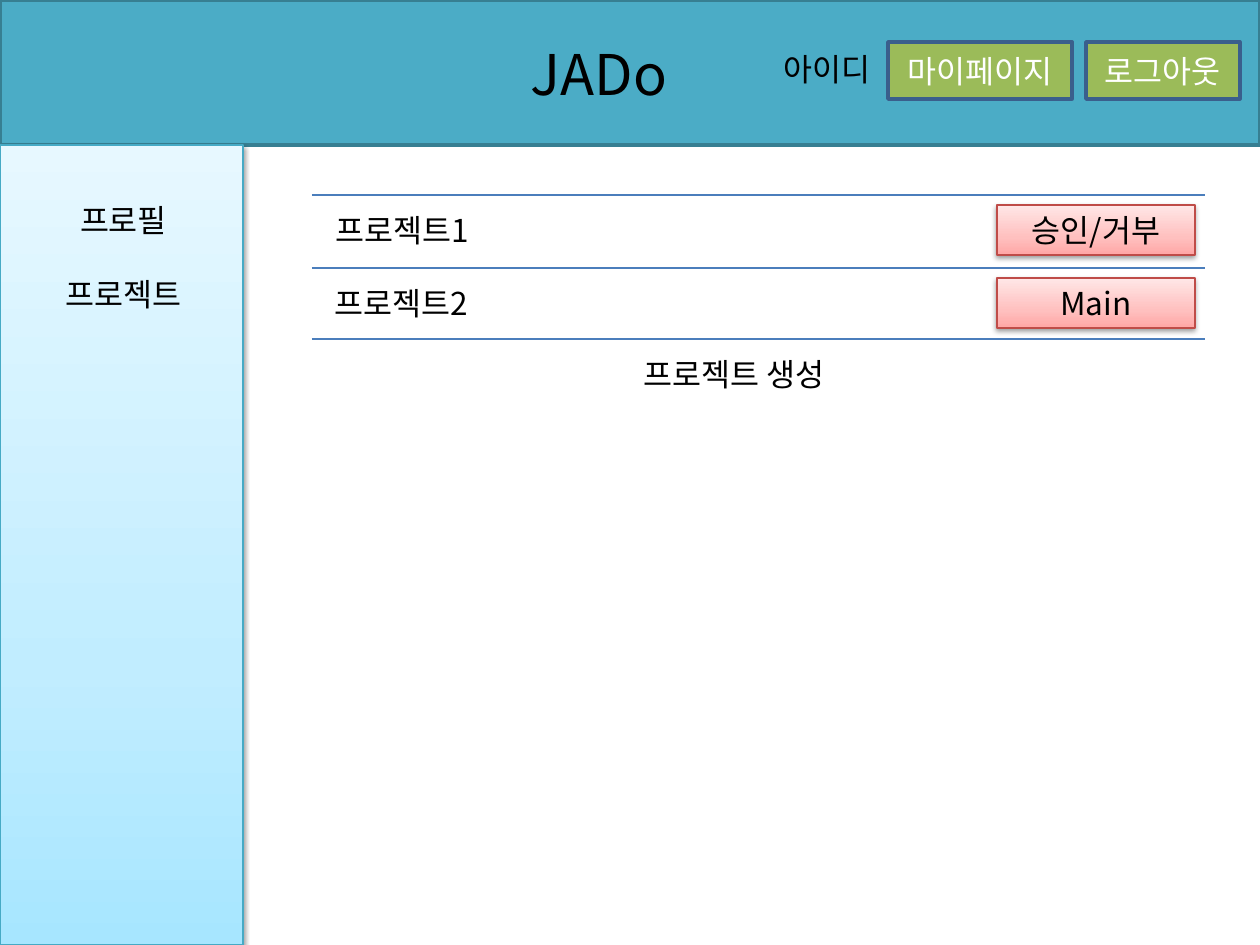
from copy import deepcopy
from dataclasses import dataclass

from lxml import etree
from pptx import Presentation
from pptx.dml.color import RGBColor
from pptx.enum.shapes import MSO_CONNECTOR, MSO_SHAPE
from pptx.enum.text import MSO_ANCHOR, MSO_AUTO_SIZE, PP_ALIGN
from pptx.oxml.ns import qn
from pptx.util import Emu, Pt

RECT = MSO_SHAPE.RECTANGLE
STRAIGHT = MSO_CONNECTOR.STRAIGHT
TOP, MIDDLE = MSO_ANCHOR.TOP, MSO_ANCHOR.MIDDLE
LEFT, CENTER = PP_ALIGN.LEFT, PP_ALIGN.CENTER
EMU_PER_PX = 914400 / 126
TITLE_ONLY = 5


@dataclass(frozen=True)
class Theme:
    font: str = "Noto Sans CJK KR"
    title_size: int = 32
    text_size: int = 18
    thin: float = 0.75
    thick: float = 2
    text: str = "000000"
    light_text: str = "FFFFFF"
    header: str = "4BACC6"
    header_line: str = "377F92"
    nav_button: str = "9BBB59"
    nav_button_line: str = "3A5F8C"
    menu: tuple = ("A7E6FF", "C1EDFF", "E7F8FF")
    menu_line: str = "46AAC5"
    action: tuple = ("FFA6A5", "FFC0BF", "FFE7E7")
    action_line: str = "BF4C48"
    divider: str = "4B7EBC"


THEME = Theme()


def px(value):
    return Emu(round(value * EMU_PER_PX))


def rgb(code):
    return RGBColor.from_string(code)


def write(shape, text, size=THEME.text_size, color=THEME.text, align=LEFT, anchor=TOP):
    frame = shape.text_frame
    frame.text = text
    frame.word_wrap = True
    frame.vertical_anchor = anchor
    paragraph = frame.paragraphs[0]
    paragraph.alignment = align
    font = paragraph.font
    font.name, font.size, font.color.rgb = THEME.font, Pt(size), rgb(color)
    # East Asian glyphs take their own typeface entry
    etree.SubElement(font._element, qn("a:ea"), typeface=THEME.font)


def add_label(slide, box, text, align=LEFT):
    label = slide.shapes.add_textbox(*map(px, box))
    write(label, text, align=align)
    label.text_frame.auto_size = MSO_AUTO_SIZE.SHAPE_TO_FIT_TEXT


def add_box(slide, box, line, width):
    shape = slide.shapes.add_shape(RECT, *map(px, box))
    shape.shadow.inherit = False
    shape.line.color.rgb = rgb(line)
    shape.line.width = Pt(width)
    return shape


def add_flat_box(slide, box, fill, line):
    shape = add_box(slide, box, line, THEME.thick)
    shape.fill.solid()
    shape.fill.fore_color.rgb = rgb(fill)
    return shape


def add_raised_box(slide, box, colors, line):
    """Rectangle with a three-stop vertical gradient and a soft shadow."""
    shape = add_box(slide, box, line, THEME.thin)
    shape.fill.gradient()
    shape.fill.gradient_angle = 90
    properties = shape._element.spPr
    stops = properties.find(".//" + qn("a:gsLst"))
    stops.insert(1, deepcopy(stops[0]))
    for stop, position, color in zip(shape.fill.gradient_stops, (0, 0.35, 1), colors):
        stop.position = position
        stop.color.rgb = rgb(color)
    shadow = etree.SubElement(
        properties.find(qn("a:effectLst")), qn("a:outerShdw"),
        blurRad=str(Pt(3.1)), dist=str(Pt(1.6)), dir="5400000", rotWithShape="0")
    shade = etree.SubElement(shadow, qn("a:srgbClr"), val="000000")
    etree.SubElement(shade, qn("a:alpha"), val="38000")
    return shape


def add_divider(slide, x, y, width):
    divider = slide.shapes.add_connector(STRAIGHT, px(x), px(y), px(x + width), px(y))
    divider.line.color.rgb = rgb(THEME.divider)
    divider.line.width = Pt(THEME.thin)
    etree.SubElement(divider._element.spPr, qn("a:effectLst"))


def add_header(slide, box):
    x, y, _, _ = box
    add_flat_box(slide, box, THEME.header, THEME.header_line)

    # Site title, raised above the header band
    title = slide.shapes.title
    title.left, title.top, title.width, title.height = map(px, (x + 518, y + 33, 174, 81))
    write(title, "JADo", THEME.title_size)
    title._element.getparent().append(title._element)

    # User name and account buttons
    add_label(slide, (x + 771, y + 44, 208, 50), "아이디")
    for left, width, text in ((888, 184, "마이페이지"), (1086, 154, "로그아웃")):
        button = add_flat_box(slide, (x + left, y + 42, width, 57),
                              THEME.nav_button, THEME.nav_button_line)
        write(button, text, color=THEME.light_text, align=CENTER, anchor=MIDDLE)


def add_menu(slide, box):
    x, y, _, _ = box
    add_raised_box(slide, box, THEME.menu, THEME.menu_line)
    for row, text in enumerate(("프로필", "프로젝트")):
        add_label(slide, (x + 44, y + 50 + 74 * row, 159, 50), text, CENTER)


def add_projects(slide, box):
    x, y, width, _ = box
    rows = (
        (0, 11, "프로젝트1", "승인/거부"),
        (73, 10, "프로젝트2", "Main"),
        (144, 319, "프로젝트 생성", None),
    )
    for offset, indent, name, action in rows:
        top = y + offset
        add_divider(slide, x, top, width)
        add_label(slide, (x + indent, top + 10, 476, 50), name)
        if action:
            button = add_raised_box(slide, (x + width - 208, top + 10, 198, 50),
                                    THEME.action, THEME.action_line)
            write(button, action, align=CENTER, anchor=MIDDLE)


def main():
    deck = Presentation()
    deck.slide_width, deck.slide_height = px(1260), px(945)
    slide = deck.slides.add_slide(deck.slide_layouts[TITLE_ONLY])
    add_header(slide, (0, 0, 1260, 145))
    add_menu(slide, (0, 145, 243, 800))
    add_projects(slide, (312, 195, 893, 204))
    deck.save("out.pptx")


if __name__ == "__main__":
    main()
